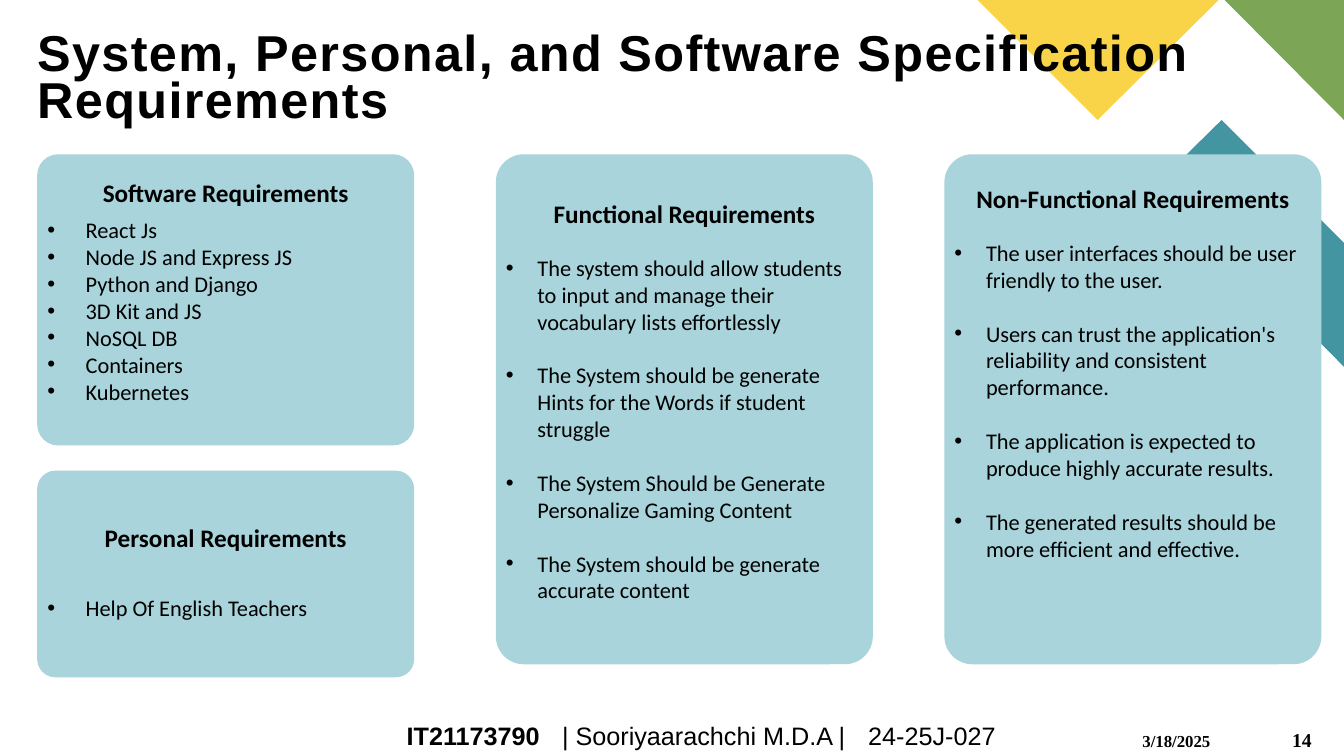
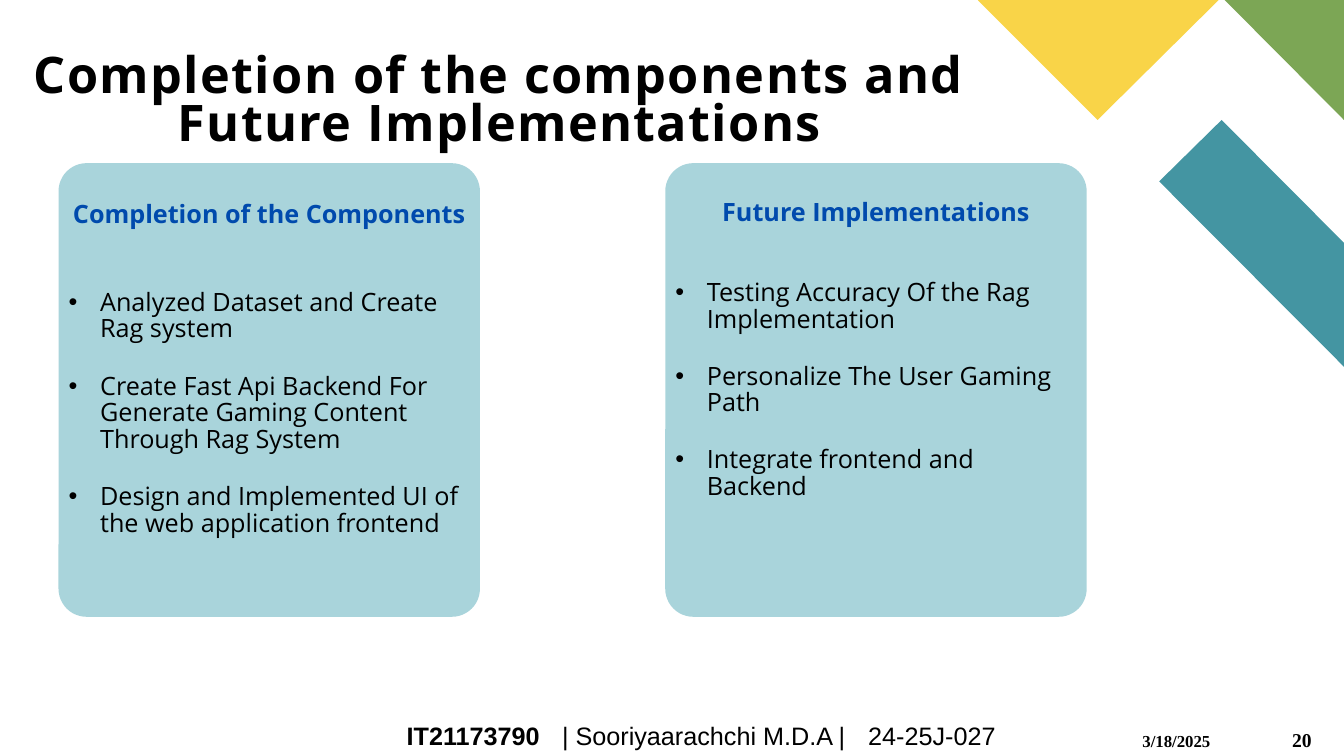
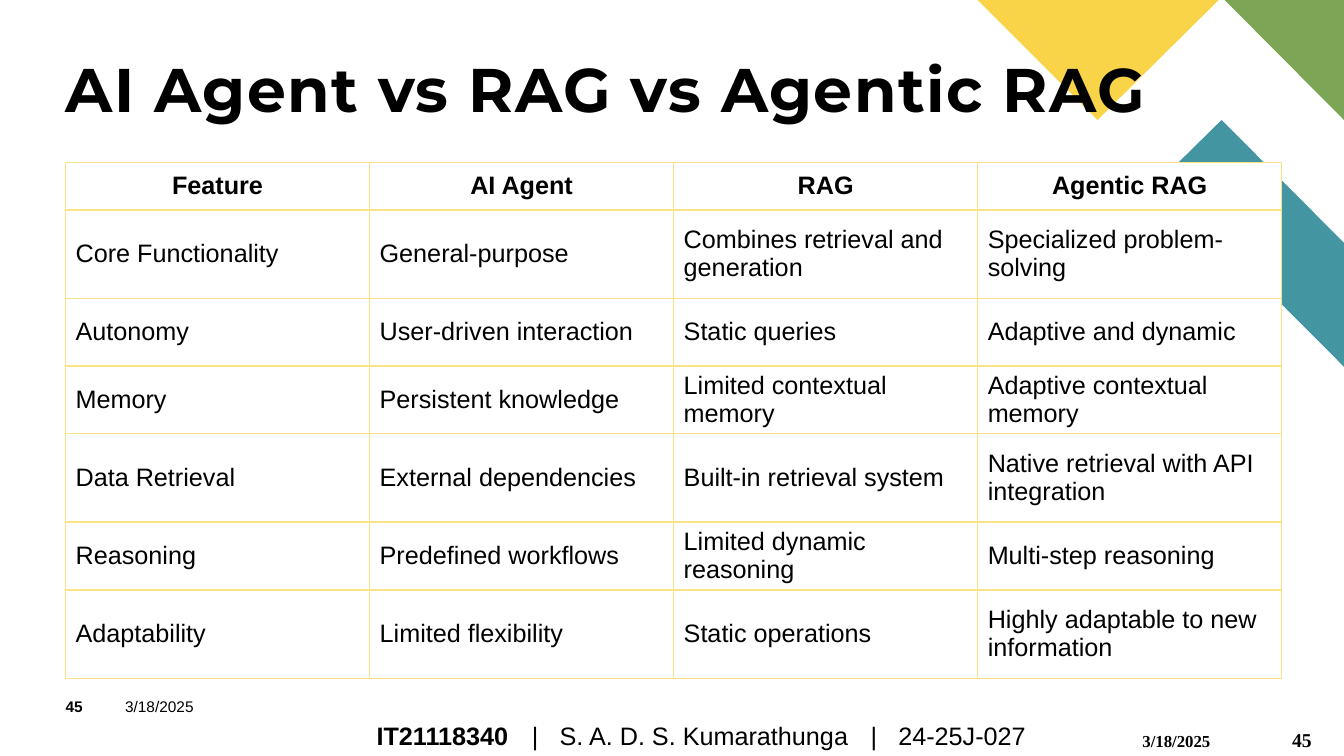
from lxml.etree import SubElement
from pptx import Presentation
from pptx.dml.color import RGBColor
from pptx.enum.shapes import MSO_SHAPE
from pptx.enum.text import MSO_ANCHOR, MSO_AUTO_SIZE, PP_ALIGN
from pptx.oxml.ns import qn
from pptx.util import Pt

INK, CARD, BLUE, WHITE, RULE = "000000", "A9D4DB", "004AAD", "FFFFFF", "FBE284"
DECOR = {
    "4495A2": [(960, 262), (960, 173.5), (872.6, 85.7), (828, 129.6)],
    "7CA655": [(960, 85.7), (960, 0), (874.8, 0)],
    "F9D448": [(698.4, 0), (784, 85.7), (870.5, 0)],
}
DATE = "3/18/2025"


def hue(code):
    """Turn a hex string into a colour."""
    return RGBColor.from_string(code)


def put(obj, **vals):
    """Set each named value on an object."""
    for key, val in vals.items():
        setattr(obj, key, val)


def paint(shape, code):
    """Give a shape a flat fill with no line or shadow."""
    shape.shadow.inherit = False
    shape.fill.solid()
    shape.fill.fore_color.rgb = hue(code)
    shape.line.fill.background()


class Deck:
    """Hold the style and the current slide."""

    def __init__(self):
        """Start a wide deck."""
        self.prs = Presentation()
        put(self.prs, slide_width=Pt(960), slide_height=Pt(540))
        self.slide = None

    def decor(self):
        """Place the corner shapes on the master."""
        group = self.slide.shapes.add_group_shape()
        for code, spots in DECOR.items():
            first, *rest = [(Pt(x), Pt(y)) for x, y in spots]
            pen = group.shapes.build_freeform(*first)
            pen.add_line_segments(rest)
            paint(pen.convert_to_shape(), code)
        self.prs.slide_master.shapes.element.insert(2, group.element)

    def start(self, layout, num, foot, stops):
        """Add a slide with its footer, date and number."""
        first = self.slide is None
        self.slide = self.prs.slides.add_slide(self.prs.slide_layouts[layout])
        if first:
            self.decor()
        self.foot(foot, stops)
        self.text((816, 522, 90, 16), DATE, name="Times New Roman", size=12, bold=True)
        self.text((923, 519.8, 34, 18), num, name="Times New Roman", size=14, bold=True)

    def frame(self, shape, box, anchor=MSO_ANCHOR.TOP, side=0):
        """Move a text shape and return its cleared frame."""
        put(shape, **dict(zip(("left", "top", "width", "height"), map(Pt, box))))
        put(shape.text_frame, word_wrap=True, auto_size=MSO_AUTO_SIZE.NONE,
            vertical_anchor=anchor, margin_left=Pt(side), margin_right=Pt(side),
            margin_top=0, margin_bottom=0)
        return shape.text_frame

    def ink(self, run, size=18, name="Arial", bold=False, code=INK):
        """Format one run."""
        put(run.font, size=Pt(size), name=name, bold=bold)
        run.font.color.rgb = hue(code)

    def line(self, para, text, align=PP_ALIGN.LEFT, after=0, lead=1.0, **fmt):
        """Fill and format one paragraph."""
        para.text = text
        put(para, alignment=align, space_before=Pt(0), space_after=Pt(after),
            line_spacing=lead)
        for run in para.runs:
            self.ink(run, **fmt)

    def text(self, box, text, **fmt):
        """Add a one-line text box."""
        frame = self.frame(self.slide.shapes.add_textbox(0, 0, 0, 0), box)
        self.line(frame.paragraphs[0], text, **fmt)

    def title(self, box, text, size=36, spread=100, **fmt):
        """Place the title."""
        frame = self.frame(self.slide.shapes.title, box, MSO_ANCHOR.BOTTOM)
        para = frame.paragraphs[0]
        self.line(para, text, size=size, bold=True, lead=Pt(34), **fmt)
        for run in para.runs:
            run.font._element.set("spc", str(spread))

    def foot(self, parts, stops):
        """Add the footer with tab stops between its parts."""
        wide = stops[-1] + 91
        box = (500.8 - wide / 2, 511.2, wide + 10, 28.8)
        shape = self.slide.shapes.add_textbox(0, 0, 0, 0)
        para = self.frame(shape, box, MSO_ANCHOR.MIDDLE).paragraphs[0]
        tabs = SubElement(para._p.get_or_add_pPr(), qn("a:tabLst"))
        for stop in stops:
            SubElement(tabs, qn("a:tab"), pos=str(Pt(stop)), algn="l")
        head, *rest = parts
        for text, bold in ((head, True), ("\t" + "\t".join(rest), False)):
            run = para.add_run()
            run.text = text
            self.ink(run, bold=bold)

    def card(self, body, box, top, head, items, gap, indent=22.5, rest=19.2,
             round=20, size=16, name="Calibri", code=INK, lead=1.0):
        """Draw a card with a heading and a list in a body placeholder."""
        left, high, wide, tall = box
        panel = self.slide.shapes.add_shape(
            MSO_SHAPE.ROUNDED_RECTANGLE, *map(Pt, box))
        panel.adjustments[0] = round / min(wide, tall)
        paint(panel, CARD)
        self.slide.shapes.element.insert(2, panel.element)
        area = (left, top, wide, high + tall - top)
        frame = self.frame(body, area, side=7.2)
        para = frame.paragraphs[0]
        self.mark(para)
        self.line(para, head, PP_ALIGN.CENTER, gap, lead,
                  name=name, bold=True, code=code)
        for item in items:
            para = frame.add_paragraph()
            self.mark(para, indent)
            self.line(para, item, after=rest, lead=lead, size=size, name=name)

    def mark(self, para, indent=0):
        """Set the bullet and hanging indent."""
        props = para._p.get_or_add_pPr()
        props.set("marL", str(Pt(indent)))
        props.set("indent", str(-Pt(indent)))
        if indent:
            SubElement(props, qn("a:buFont"), typeface="Arial")
            SubElement(props, qn("a:buChar"), char="•")
        else:
            SubElement(props, qn("a:buNone"))

    def bodies(self):
        """Return the body placeholders."""
        return list(self.slide.placeholders)[1:]

    def table(self, spot, wide, highs, rows):
        """Add a ruled table."""
        cols = len(rows[0])
        size = (wide * cols, sum(highs))
        grid = self.slide.shapes.add_table(
            len(rows), cols, *map(Pt, spot + size)).table
        put(grid, first_row=False, horz_banding=False)
        for col in grid.columns:
            col.width = Pt(wide)
        for row, high, texts in zip(grid.rows, highs, rows):
            row.height = Pt(high)
            head = texts is rows[0]
            for cell, text in zip(row.cells, texts):
                cell.vertical_anchor = MSO_ANCHOR.MIDDLE
                self.line(cell.text_frame.paragraphs[0], text,
                          PP_ALIGN.CENTER if head else PP_ALIGN.LEFT, bold=head)
                self.rule(cell)
                cell.fill.solid()
                cell.fill.fore_color.rgb = hue(WHITE)

    def rule(self, cell):
        """Draw the four borders of a cell."""
        props = cell._tc.get_or_add_tcPr()
        for side in "LRTB":
            edge = SubElement(props, qn("a:ln" + side), w=str(Pt(1)))
            fill = SubElement(edge, qn("a:solidFill"))
            SubElement(fill, qn("a:srgbClr"), val=RULE)


def needs(deck, foot, stops):
    """Build the requirements slide."""
    deck.start(4, "14", foot, stops)
    deck.title((26.6, 18, 903.6, 74),
               "System, Personal, and Software Specification Requirements")
    wide, high, tall = 269.3, 110.2, 364.3
    soft, own, func, non = deck.bodies()
    deck.card(soft, (26.6, high, wide, 208), 127, "Software Requirements", [
        "React Js", "Node JS and Express JS", "Python and Django",
        "3D Kit and JS", "NoSQL DB", "Containers", "Kubernetes",
    ], gap=6, indent=27.4, rest=0, round=15)
    deck.card(own, (26.6, 336.2, wide, 147.6), 373, "Personal Requirements",
              ["Help Of English Teachers"], gap=30, indent=27.4, round=13)
    deck.card(func, (354.2, high, wide, tall), 141.5, "Functional Requirements", [
        "The system should allow students to input and manage their "
        "vocabulary lists effortlessly",
        "The System should be generate Hints for the Words if student struggle",
        "The System Should be Generate Personalize Gaming Content",
        "The System should be generate accurate content",
    ], gap=18.4)
    deck.card(non, (674.6, high, wide, tall), 130.8, "Non-Functional Requirements", [
        "The user interfaces should be user friendly to the user.",
        "Users can trust the application's reliability and consistent performance.",
        "The application is expected to produce highly accurate results.",
        "The generated results should be more efficient and effective.",
    ], gap=18.4)


def plans(deck, foot, stops):
    """Build the completion slide."""
    deck.start(3, "20", foot, stops)
    deck.title((6, 30, 702, 78),
               "Completion of the components and\vFuture Implementations",
               name="Open Sans", align=PP_ALIGN.CENTER)
    style = dict(size=18, name="Open Sans", code=BLUE, lead=0.88, rest=21.8)
    done, next_up = deck.bodies()
    deck.card(done, (41.8, 116.6, 301, 324), 144.8, "Completion of the Components", [
        "Analyzed Dataset and Create Rag system",
        "Create Fast Api Backend For Generate Gaming Content Through Rag System",
        "Design and Implemented UI of the web application frontend",
    ], gap=43.4, **style)
    deck.card(next_up, (475.2, 116.6, 301, 324), 142.7, "Future Implementations", [
        "Testing Accuracy Of the Rag Implementation",
        "Personalize The User Gaming Path",
        "Integrate frontend and Backend",
    ], gap=38.4, **style)


def compare(deck, foot, stops):
    """Build the comparison slide."""
    deck.start(5, "45", foot, stops)
    deck.title((46.8, 20, 864, 69), "AI Agent vs RAG vs Agentic RAG",
               size=44, name="Montserrat")
    deck.text((46.8, 498.2, 40, 19), "45", size=11, bold=True)
    deck.text((89.3, 498.2, 104, 19), DATE, size=11)
    deck.table((46.8, 116), 217.2, [34, 63, 48.5, 48.5, 63, 48.5, 63], [
        ["Feature", "AI Agent", "RAG", "Agentic RAG"],
        ["Core Functionality", "General-purpose",
         "Combines retrieval and generation", "Specialized problem-solving"],
        ["Autonomy", "User-driven interaction", "Static queries",
         "Adaptive and dynamic"],
        ["Memory", "Persistent knowledge", "Limited contextual memory",
         "Adaptive contextual memory"],
        ["Data Retrieval", "External dependencies", "Built-in retrieval system",
         "Native retrieval with API integration"],
        ["Reasoning", "Predefined workflows", "Limited dynamic reasoning",
         "Multi-step reasoning"],
        ["Adaptability", "Limited flexibility", "Static operations",
         "Highly adaptable to new information"],
    ])


def main():
    """Build and save the deck."""
    deck = Deck()
    foot = ["IT21173790", "| Sooriyaarachchi M.D.A |", "24-25J-027"]
    stops = [111, 329.6]
    needs(deck, foot, stops)
    plans(deck, foot, stops)
    compare(deck, ["IT21118340", "|", "S. A. D. S. Kumarathunga", "|", "24-25J-027"],
            [111, 130.8, 353, 372.7])
    deck.prs.save("out.pptx")


if __name__ == "__main__":
    main()
